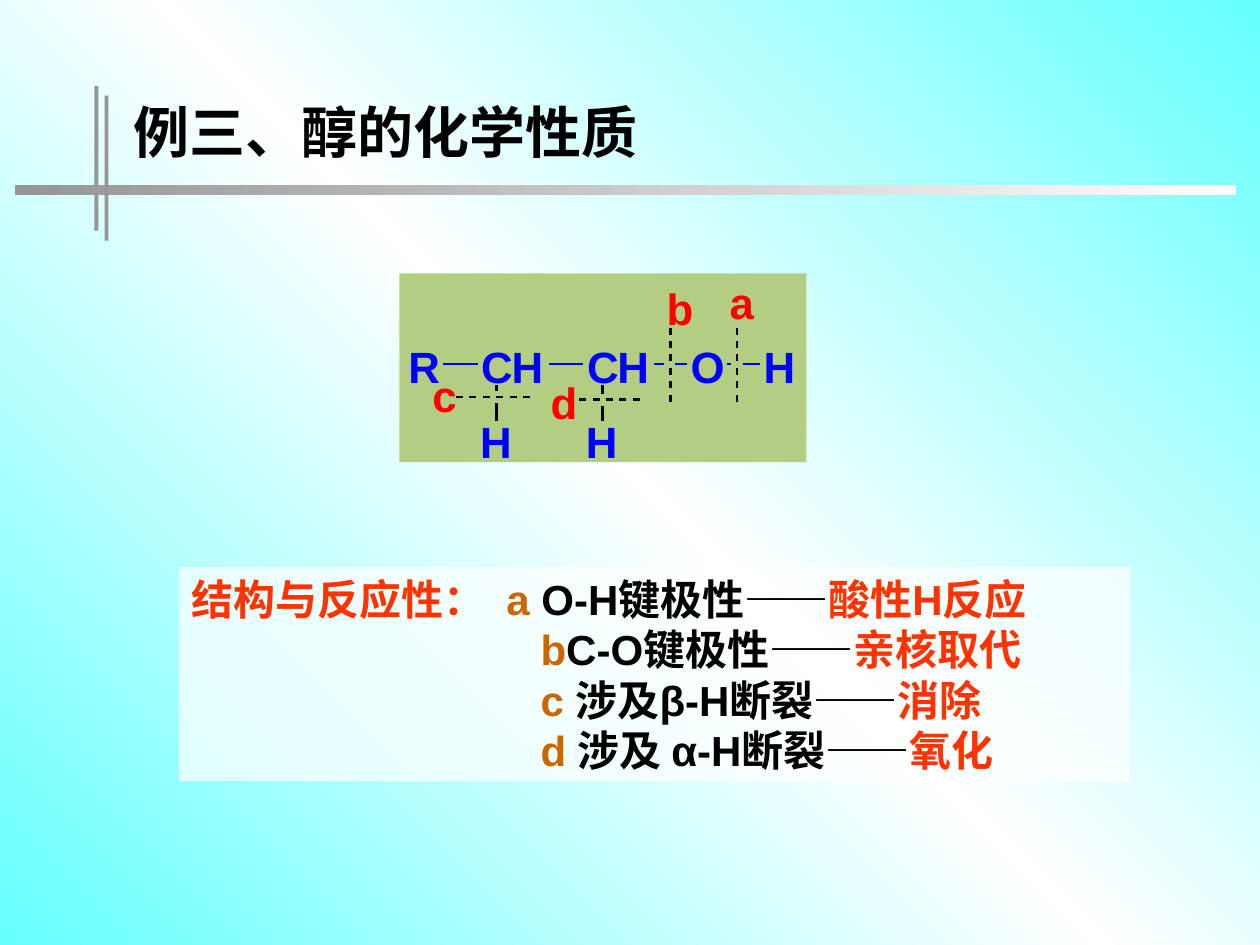
from copy import deepcopy

from lxml.etree import SubElement as Sub
from pptx import Presentation
from pptx.dml.color import RGBColor as RGB
from pptx.enum.shapes import MSO_CONNECTOR as LINK, MSO_SHAPE as FORM
from pptx.enum.text import MSO_ANCHOR as ANCHOR, MSO_AUTO_SIZE as AUTO, PP_ALIGN as ALIGN
from pptx.oxml.ns import qn
from pptx.util import Pt

BLACK = RGB(0x00, 0x00, 0x00)
WHITE = RGB(0xFF, 0xFF, 0xFF)
CYAN = RGB(0x66, 0xFF, 0xFF)
GRAY = RGB(0x96, 0x96, 0x96)
GREEN = RGB(0xB3, 0xCE, 0x82)
BLUE = RGB(0x00, 0x00, 0xFF)
RED = RGB(0xFF, 0x00, 0x00)
CORAL = RGB(0xFF, 0x33, 0x00)
BROWN = RGB(0xCC, 0x66, 0x00)

ROWS = [
    [("结构与反应性：\t", CORAL), ("a ", BROWN), ("O-H键极性——", BLACK), ("酸性H反应", CORAL)],
    [("b", BROWN), ("C-O键极性——", BLACK), ("亲核取代", CORAL)],
    [("c ", BROWN), ("涉及β-H断裂——", BLACK), ("消除", CORAL)],
    [("d ", BROWN), ("涉及 α-H断裂——", BLACK), ("氧化", CORAL)],
]
ATOMS = [("R", 233.3), ("C", 275), ("H", 292.3), ("C", 335.5), ("H", 352.8), ("O", 394.6), ("H", 436.3)]
BONDS = [(253.4, 272.9), (313.9, 333.4), (373.7, 379.4), (385.9, 392.4), (415.4, 417.6), (424.8, 434.2)]
STEMS = [(283.7, 223.2, 230.4), (344.2, 225.4, 231.8)]
MARKS = [("a", 416.9, 157.7), ("b", 380.9, 161.3), ("c", 247, 211), ("d", 314.6, 214.6)]
CUTS = [(421.2, 187.2, 0, 1), (383, 187.2, 0, 1), (260.6, 226.8, 1, 0), (323.3, 228.4, 1, 0)]


def place(shape, left, top, width, height):
    """Move and size a shape."""
    shape.left, shape.top = Pt(left), Pt(top)
    shape.width, shape.height = Pt(width), Pt(height)


def style(para, size, color=None):
    """Set the bold font of a paragraph."""
    font = para.font
    font.name, font.size, font.bold = "Arial", Pt(size), True
    if color is not None:
        font.color.rgb = color


def shade(fill, root, colors, angle):
    """Give a fill evenly spaced gradient stops."""
    fill.gradient()
    fill.gradient_angle = angle
    stops = next(root.iter(qn("a:gsLst")))
    for _ in colors[2:]:
        stops.append(deepcopy(stops[0]))
    for i, (stop, color) in enumerate(zip(fill.gradient_stops, colors)):
        stop.position = i / (len(colors) - 1)
        stop.color.rgb = color


def block(shapes, left, top, width, height, color):
    """Add a plain rectangle."""
    shape = shapes.add_shape(FORM.RECTANGLE, Pt(left), Pt(top), Pt(width), Pt(height))
    shape.shadow.inherit = False
    shape.fill.solid()
    shape.fill.fore_color.rgb = color
    shape.line.fill.background()
    return shape


def line(shapes, x1, y1, x2, y2, color=BLACK):
    """Add a straight line."""
    link = shapes.add_connector(LINK.STRAIGHT, Pt(x1), Pt(y1), Pt(x2), Pt(y2))
    link.line.color.rgb = color
    link.line.width = Pt(1.5)
    Sub(link._element.spPr, qn("a:effectLst"))


def label(shapes, text, left, top, color):
    """Add one letter of the formula."""
    frame = shapes.add_textbox(Pt(left), Pt(top), Pt(18), Pt(30)).text_frame
    frame.margin_left = frame.margin_right = frame.margin_top = frame.margin_bottom = 0
    frame.word_wrap = False
    para = frame.paragraphs[0]
    para.text = text
    style(para, 25, color)


def cut(shapes, left, top, dx, dy):
    """Add a row of six dashes along one axis."""
    for i in range(6):
        x, y = left + dx * 7.65 * i, top + dy * 7.65 * i
        line(shapes, x, y, x + dx * 4, y + dy * 4)


def frame_of(shape):
    """Prepare the text frame of a placeholder."""
    frame = shape.text_frame
    frame.auto_size = AUTO.NONE
    frame.word_wrap = True
    return frame


def head(shape):
    """Fill the title."""
    place(shape, 69.1, 51.8, 313.2, 46.1)
    frame = frame_of(shape)
    frame.vertical_anchor = ANCHOR.MIDDLE
    para = frame.paragraphs[0]
    para.text = "例三、醇的化学性质"
    para.alignment = ALIGN.LEFT
    style(para, 32, BLACK)


def notes(shape):
    """Fill the list of bonds and reactions."""
    place(shape, 102.2, 324, 543.6, 122.4)
    shape.fill.solid()
    shape.fill.fore_color.rgb = WHITE
    tint = next(shape._element.spPr.iter(qn("a:srgbClr")))
    Sub(tint, qn("a:alpha"), val="71000")
    frame = frame_of(shape)
    frame.vertical_anchor = ANCHOR.TOP
    for i, row in enumerate(ROWS):
        para = frame.add_paragraph() if i else frame.paragraphs[0]
        props = para._p.get_or_add_pPr()
        props.set("marL", str(Pt(199.5) if i else 0))
        props.set("indent", "0")
        Sub(props, qn("a:buNone"))
        if not i:
            tabs = Sub(props, qn("a:tabLst"))
            Sub(tabs, qn("a:tab"), pos=str(Pt(195)), algn="l")
        para.space_before = Pt(0)
        para.alignment = ALIGN.LEFT
        style(para, 24)
        for text, color in row:
            run = para.add_run()
            run.text = text
            run.font.color.rgb = color


def rules(shapes):
    """Add the bars around the title."""
    block(shapes, 54, 49, 2.2, 82.8, GRAY)
    bar = block(shapes, 8.6, 105.8, 697.7, 5.8, GRAY)
    shade(bar.fill, bar._element, [GRAY, WHITE], 0)
    block(shapes, 59.8, 54.7, 2.2, 82.8, GRAY)


def formula(shapes):
    """Draw the alcohol with its four cleavage sites."""
    block(shapes, 228.2, 156.2, 232.6, 108, GREEN)
    for text, left in ATOMS:
        label(shapes, text, left, 194.4, BLUE)
    for start, end in BONDS:
        line(shapes, start, 208.1, end, 208.1, BLUE)
    for x, end, start in STEMS:
        line(shapes, x, 220.3, x, end)
        line(shapes, x, start, x, 240.5)
        label(shapes, "H", x - 9.4, 236.9, BLUE)
    for site in CUTS:
        cut(shapes, *site)
    for text, left, top in MARKS:
        label(shapes, text, left, top, RED)


def main():
    """Build and save the slide."""
    deck = Presentation()
    deck.slide_width, deck.slide_height = Pt(720), Pt(540)
    slide = deck.slides.add_slide(deck.slide_layouts[1])
    shade(slide.background.fill, slide._element, [CYAN, WHITE, CYAN], 45)
    rules(slide.shapes)
    head(slide.shapes.title)
    notes(slide.placeholders[1])
    formula(slide.shapes.add_group_shape().shapes)
    deck.save("out.pptx")


if __name__ == "__main__":
    main()
